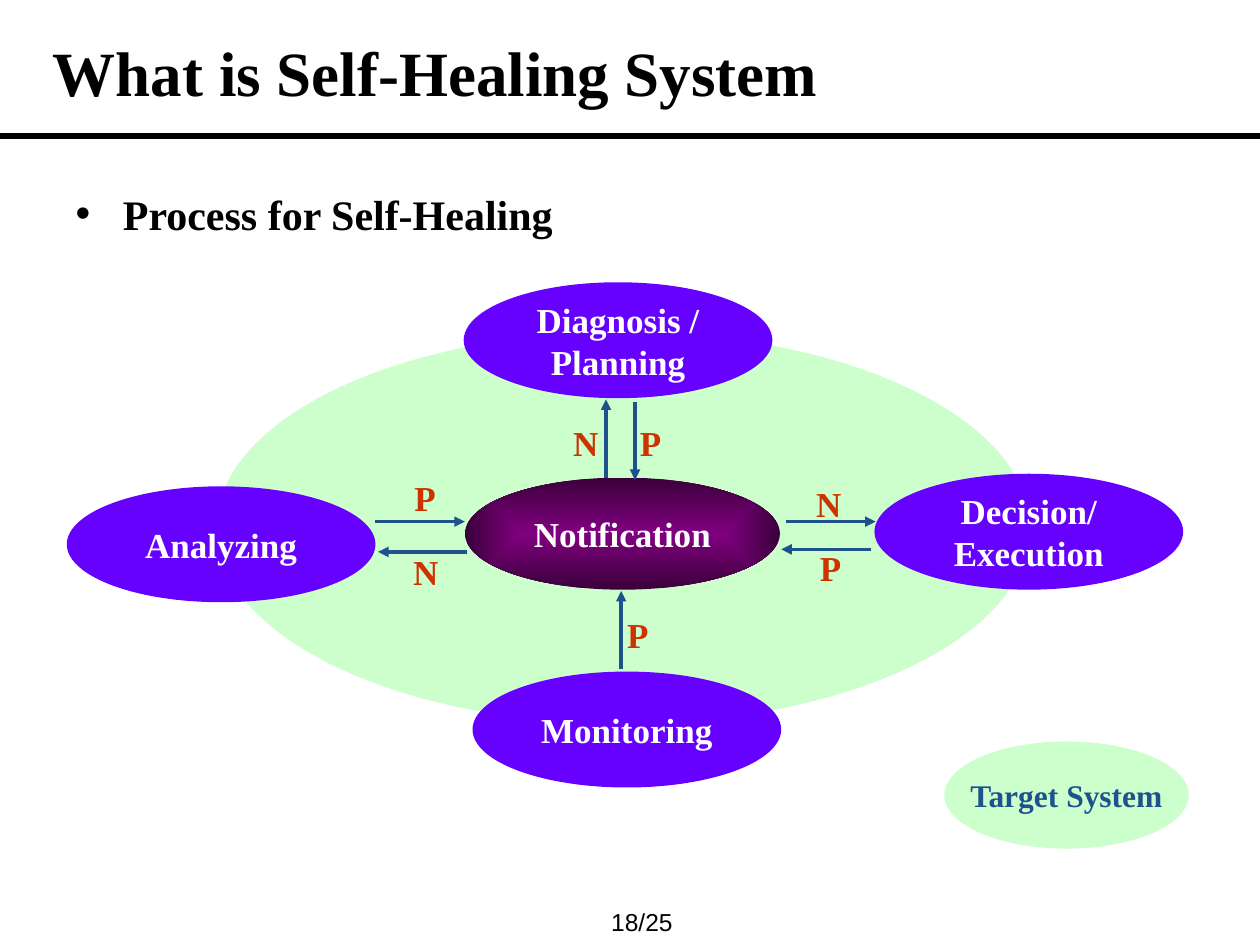
"""Build a slide showing the self-healing process around a notification hub."""
from lxml import etree
from pptx import Presentation
from pptx.dml.color import RGBColor
from pptx.enum.shapes import MSO_CONNECTOR, MSO_SHAPE
from pptx.enum.text import MSO_ANCHOR, MSO_AUTO_SIZE, PP_ALIGN
from pptx.oxml.ns import qn
from pptx.util import Inches, Pt

OVAL = MSO_SHAPE.OVAL
STRAIGHT = MSO_CONNECTOR.STRAIGHT
LEFT, CENTER = PP_ALIGN.LEFT, PP_ALIGN.CENTER
TOP, MIDDLE = MSO_ANCHOR.TOP, MSO_ANCHOR.MIDDLE
NONE = MSO_AUTO_SIZE.NONE

BLACK = RGBColor(0x00, 0x00, 0x00)
WHITE = RGBColor(0xFF, 0xFF, 0xFF)
GREEN = RGBColor(0xCC, 0xFF, 0xCC)
VIOLET = RGBColor(0x66, 0x00, 0xFF)
PURPLE = RGBColor(0x80, 0x00, 0x80)
PLUM = RGBColor(0x3B, 0x00, 0x3B)
BLUE = RGBColor(0x1D, 0x52, 0x8D)
RED = RGBColor(0xCC, 0x33, 0x00)


def write(shape, text, size=20, color=BLACK, font="Times New Roman",
          bold=True, align=LEFT, anchor=TOP, wrap=True):
    frame = shape.text_frame
    frame.text = text
    frame.auto_size = NONE
    frame.word_wrap = wrap
    frame.vertical_anchor = anchor
    for para in frame.paragraphs:
        para.alignment = align
        para.font.name = font
        para.font.size = Pt(size)
        para.font.bold = bold
        para.font.color.rgb = color


def draw(start, end, color, width):
    line = slide.shapes.add_connector(
        STRAIGHT, *(Inches(v) for v in (*start, *end)))
    line.line.color.rgb = color
    line.line.width = Pt(width)
    etree.SubElement(line._element.spPr, qn("a:effectLst"))
    return line


deck = Presentation()
deck.slide_width, deck.slide_height = Inches(10), Inches(7.5)
slide = deck.slides.add_slide(deck.slide_layouts[1])

title = slide.shapes.title
title.left, title.top = Inches(0.32), Inches(0.09)
title.width, title.height = Inches(8.43), Inches(0.95)
write(title, "What is Self-Healing System", size=36, anchor=MIDDLE)

body = slide.placeholders[1]
body.left, body.top = Inches(0.5), Inches(1.52)
body.width, body.height = Inches(9.5), Inches(5.41)
write(body, "Process for Self-Healing", size=24)
point = body.text_frame.paragraphs[0]
point.line_spacing = 0.8
point.space_before = Pt(0)

draw((0, 1.08), (10, 1.08), BLACK, 3)

page = slide.shapes.add_textbox(
    Inches(3.93), Inches(7.15), Inches(2.33), Inches(0.26))
write(page, "18/25", size=14, font="Arial", bold=False, align=CENTER)

ovals = [
    ("", 1.72, 2.64, 6.45, 3.1, GREEN, WHITE, 20),
    ("Notification", 3.69, 3.79, 2.5, 0.89, None, WHITE, 20),
    ("Monitoring", 3.75, 5.33, 2.45, 0.92, VIOLET, WHITE, 20),
    ("Diagnosis /\nPlanning", 3.68, 2.24, 2.45, 0.92, VIOLET, WHITE, 20),
    ("Analyzing", 0.53, 3.86, 2.45, 0.92, VIOLET, WHITE, 20),
    ("Decision/\nExecution", 6.94, 3.76, 2.45, 0.92, VIOLET, WHITE, 20),
    ("Target System", 7.5, 5.89, 1.93, 0.84, GREEN, BLUE, 18),
]
for text, x, y, wide, high, fill, ink, size in ovals:
    oval = slide.shapes.add_shape(
        OVAL, Inches(x), Inches(y), Inches(wide), Inches(high))
    oval.shadow.inherit = False
    if fill is None:
        oval.fill.gradient()
        for stop, shade in zip(oval.fill.gradient_stops, (PURPLE, PLUM)):
            stop.color.rgb = shade
        grad = oval._element.spPr.find(qn("a:gradFill"))
        grad.remove(grad.find(qn("a:lin")))
        route = etree.SubElement(grad, qn("a:path"), {"path": "rect"})
        etree.SubElement(route, qn("a:fillToRect"),
                         {side: "50000" for side in "ltrb"})
    else:
        oval.fill.solid()
        oval.fill.fore_color.rgb = fill
    if fill == GREEN:
        oval.line.color.rgb = GREEN
        oval.line.width = Pt(0.75)
    else:
        oval.line.fill.background()
    if text:
        write(oval, text, size=size, color=ink, align=CENTER,
              anchor=MIDDLE, wrap=False)

arrows = [
    ((2.98, 4.14), (3.69, 4.14), "P", 3.19, 3.73),
    ((3.71, 4.38), (3, 4.38), "N", 3.18, 4.32),
    ((6.24, 4.14), (6.95, 4.14), "N", 6.38, 3.78),
    ((6.91, 4.36), (6.2, 4.36), "P", 6.41, 4.29),
    ((4.81, 3.79), (4.81, 3.17), "N", 4.45, 3.3),
    ((5.04, 3.19), (5.04, 3.81), "P", 4.98, 3.3),
    ((4.93, 5.31), (4.93, 4.69), "P", 4.88, 4.82),
]
for start, end, text, x, y in arrows:
    arrow = draw(start, end, BLUE, 2)
    etree.SubElement(arrow.line._get_or_add_ln(), qn("a:tailEnd"),
                     {"type": "triangle"})
    label = slide.shapes.add_textbox(
        Inches(x), Inches(y), Inches(0.33), Inches(0.44))
    write(label, text, color=RED)

deck.save("out.pptx")
